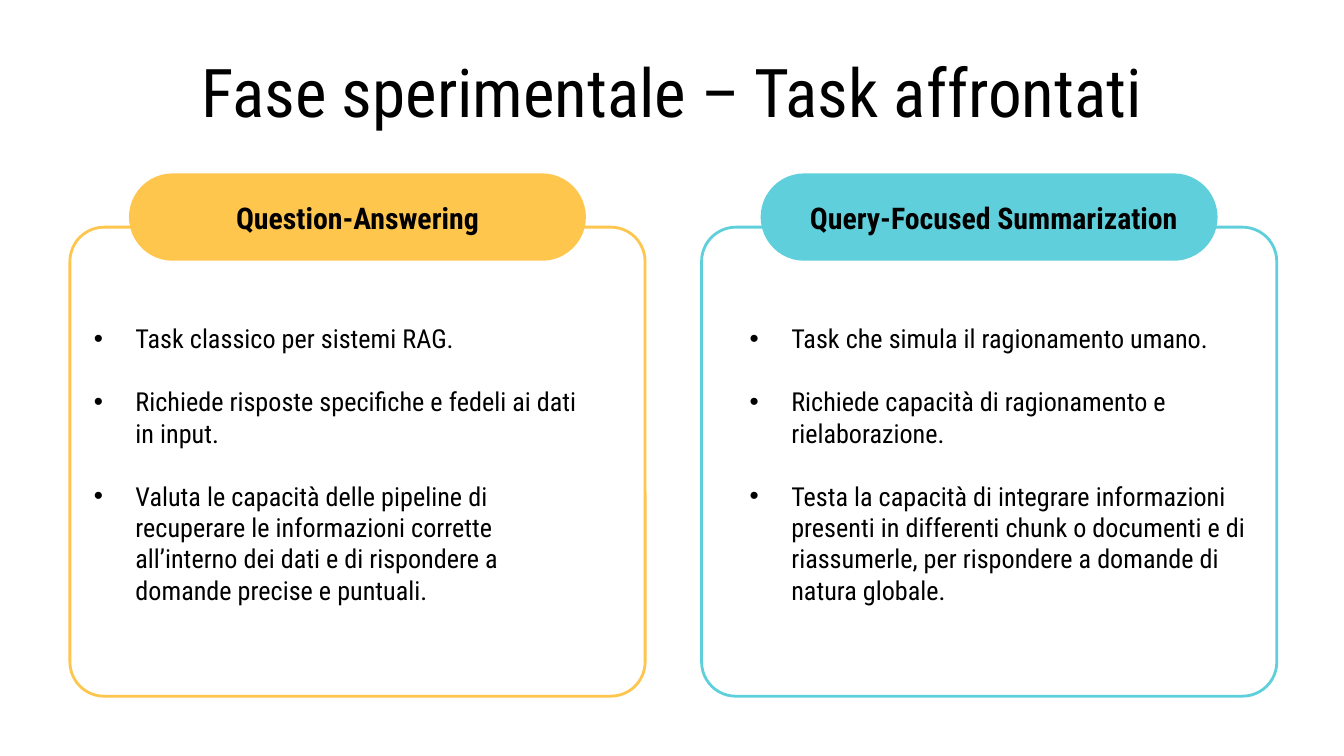
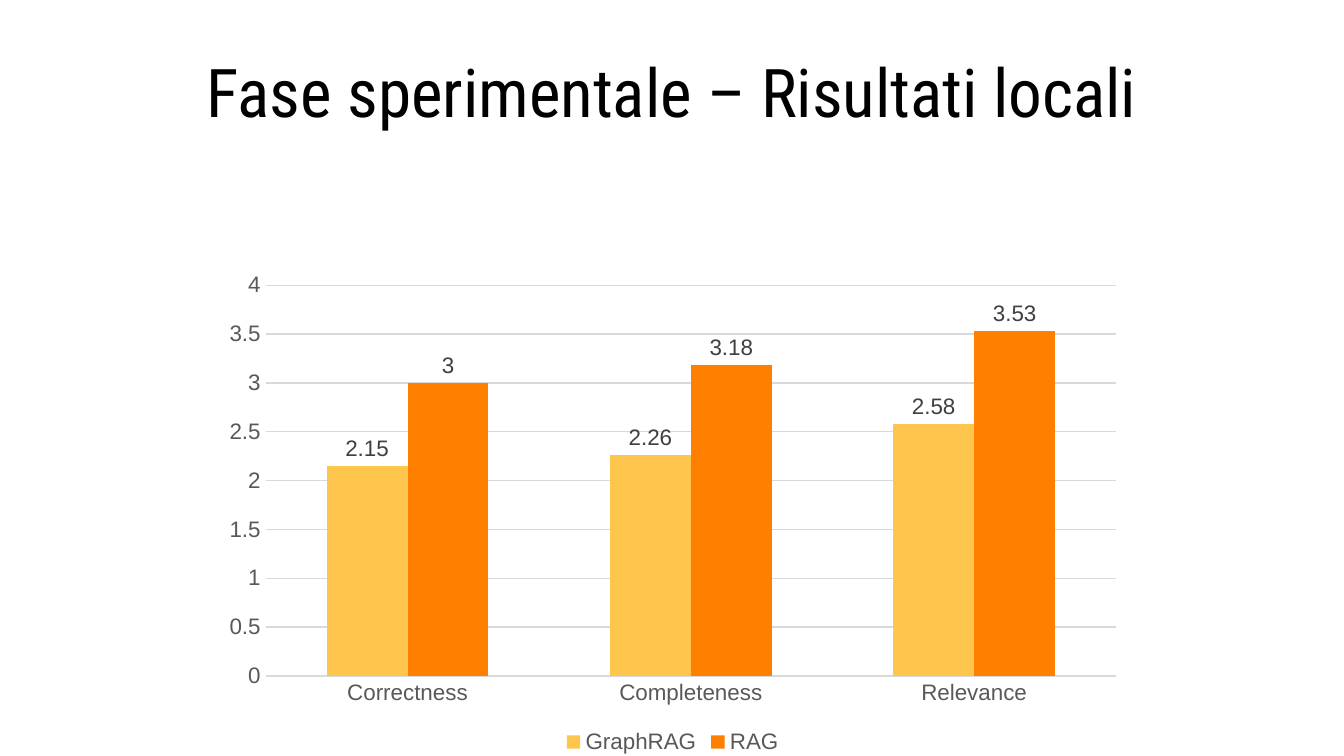
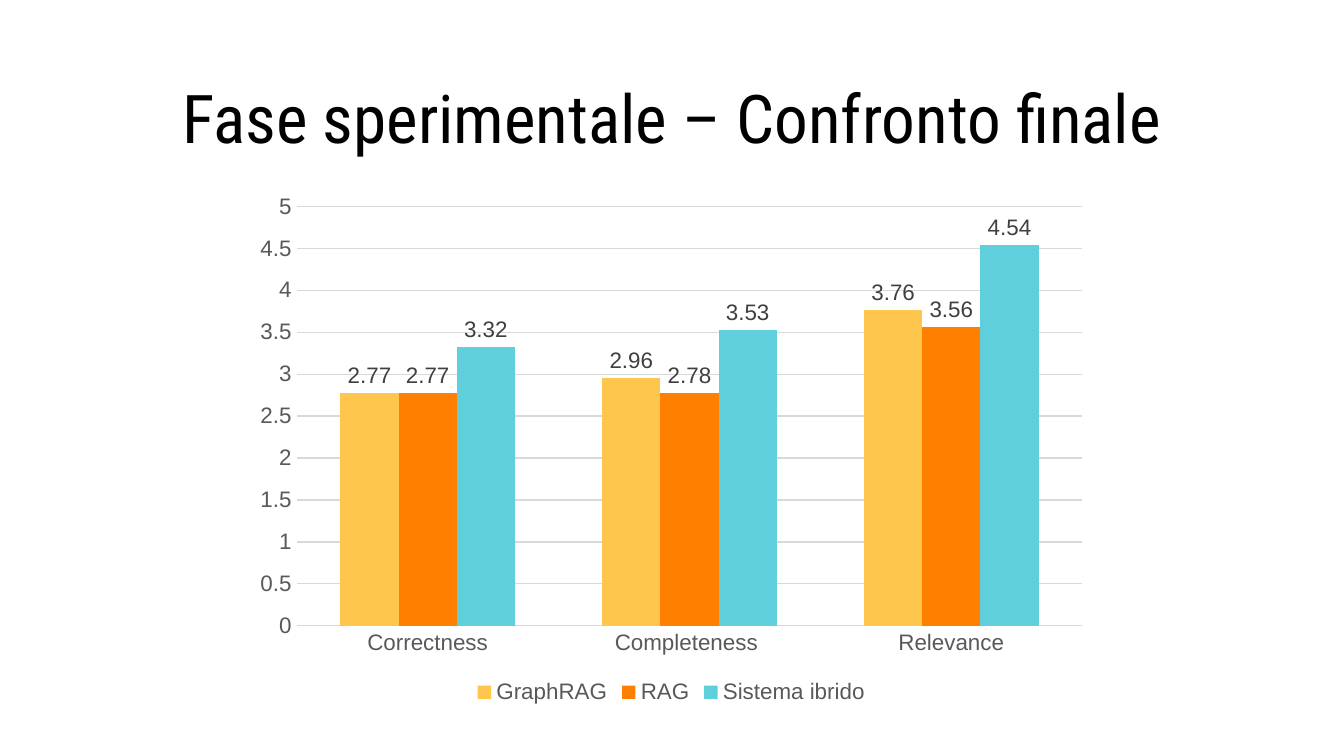
from lxml import etree
from pptx import Presentation, util as u
from pptx.chart.data import CategoryChartData
from pptx.dml.color import RGBColor
from pptx.enum import chart as charts, shapes, text
from pptx.oxml.ns import qn

BLACK = RGBColor(0x00, 0x00, 0x00)
WHITE = RGBColor(0xFF, 0xFF, 0xFF)
YELLOW = RGBColor(0xFF, 0xC6, 0x4E)
ORANGE = RGBColor(0xFF, 0x80, 0x01)
TEAL = RGBColor(0x5F, 0xD0, 0xDB)
AXIS_GREY = RGBColor(0x59, 0x59, 0x59)
LABEL_GREY = RGBColor(0x40, 0x40, 0x40)
GRID_GREY = RGBColor(0xD9, 0xD9, 0xD9)

TITLE_FONT = {"name": "Roboto Condensed", "size": u.Pt(36), "bold": False}
HEADING_FONT = {"name": "Roboto Condensed", "size": u.Pt(16), "bold": True}
BODY_FONT = {"name": "Roboto Condensed", "size": u.Pt(14)}
CHART_FONT = {"name": "Arial", "size": u.Pt(12)}

MARGIN = 0.52
CARD_WIDTH, CARD_HEIGHT, CARD_TOP = 4.28, 3.49, 1.69
CARD_STEP = 4.7
PILL_WIDTH, PILL_HEIGHT, PILL_TOP = 3.4, 0.65, 1.29
BULLET_INDENT = u.Inches(0.31)


def format_font(font, values, color=BLACK):
    for name, value in values.items():
        setattr(font, name, value)
    font.color.rgb = color


def add_titled_slide(title_text, top):
    slide = presentation.slides.add_slide(presentation.slide_layouts[5])
    title = slide.shapes.title
    title.left, title.top = u.Inches(0.5), u.Inches(top)
    title.width, title.height = u.Inches(9), u.Inches(0.53)
    frame = title.text_frame
    frame.text = title_text
    frame.auto_size = text.MSO_AUTO_SIZE.NONE
    frame.vertical_anchor = text.MSO_ANCHOR.MIDDLE
    for side in ("left", "top", "right", "bottom"):
        setattr(frame, f"margin_{side}", u.Inches(0.1))
    paragraph = frame.paragraphs[0]
    paragraph.alignment = text.PP_ALIGN.CENTER
    format_font(paragraph.runs[0].font, TITLE_FONT)
    return slide


presentation = Presentation()
presentation.slide_width = u.Inches(10)
presentation.slide_height = presentation.slide_width * 9 // 16

# Tasks: one card per column, with a pill heading and a bullet list
slide = add_titled_slide("Fase sperimentale – Task affrontati", 0.41)

# heading, colour, heading left and width, list left, bullets
tasks = [
    ("Question-Answering", YELLOW, 1.42, 2.48, 0.6, [
        "Task classico per sistemi RAG.",
        "Richiede risposte specifiche e fedeli ai dati in input.",
        "Valuta le capacità delle pipeline di recuperare le informazioni corrette "
        "all’interno dei dati e di rispondere a domande precise e puntuali.",
    ]),
    ("Query-Focused Summarization", TEAL, 5.76, 3.27, 5.48, [
        "Task che simula il ragionamento umano.",
        "Richiede capacità di ragionamento e rielaborazione.",
        "Testa la capacità di integrare informazioni presenti in differenti chunk o "
        "documenti e di riassumerle, per rispondere a domande di natura globale.",
    ]),
]

for column, (heading, color, heading_left, heading_width, list_left, bullets) in enumerate(tasks):
    card_left = MARGIN + column * CARD_STEP
    pill_left = card_left + (CARD_WIDTH - PILL_WIDTH) / 2
    outlines = [
        (card_left, CARD_TOP, CARD_WIDTH, CARD_HEIGHT, 0.073, WHITE),
        (pill_left, PILL_TOP, PILL_WIDTH, PILL_HEIGHT, 0.5, color),
    ]
    for left, top, width, height, rounding, fill_color in outlines:
        shape = slide.shapes.add_shape(
            shapes.MSO_SHAPE.ROUNDED_RECTANGLE,
            u.Inches(left), u.Inches(top), u.Inches(width), u.Inches(height))
        shape.adjustments[0] = rounding
        shape.shadow.inherit = False
        shape.fill.solid()
        shape.fill.fore_color.rgb = fill_color
        if fill_color == WHITE:
            shape.line.color.rgb = color
            shape.line.width = u.Pt(1.5)
        else:
            shape.line.fill.background()

    heading_box = slide.shapes.add_textbox(
        u.Inches(heading_left), u.Inches(1.44), u.Inches(heading_width), u.Inches(0.36))
    frame = heading_box.text_frame
    frame.word_wrap = True
    frame.vertical_anchor = text.MSO_ANCHOR.MIDDLE
    frame.margin_left = frame.margin_right = u.Inches(0.2)
    frame.margin_top = frame.margin_bottom = 0
    frame.text = heading
    frame.paragraphs[0].alignment = text.PP_ALIGN.CENTER
    format_font(frame.paragraphs[0].runs[0].font, HEADING_FONT)

    bullet_box = slide.shapes.add_textbox(
        u.Inches(list_left), u.Inches(2.35), u.Inches(3.93), u.Inches(2.22))
    frame = bullet_box.text_frame
    frame.word_wrap = True
    frame.text = "\n".join(bullets)
    for row, paragraph in enumerate(frame.paragraphs):
        paragraph.space_before = u.Pt(17 if row else 0)
        format_font(paragraph.runs[0].font, BODY_FONT)
        properties = paragraph._p.get_or_add_pPr()
        properties.set("marL", str(BULLET_INDENT))
        properties.set("indent", str(-BULLET_INDENT))
        etree.SubElement(properties, qn("a:buFont"), typeface="Arial")
        etree.SubElement(properties, qn("a:buChar"), char="•")

# Results: one clustered column chart per slide
series_colors = {"GraphRAG": YELLOW, "RAG": ORANGE, "Sistema ibrido": TEAL}

# title, title top, chart box, axis maximum, categories, scores
results = [
    ("Fase sperimentale – Risultati locali", 0.41, (1.57, 1.96, 6.87, 3.69), 4,
     ["Correctness", "Completeness", "Relevance"], {
         "GraphRAG": (2.15, 2.26, 2.58),
         "RAG": (3, 3.18, 3.53),
     }),
    ("Fase sperimentale – Confronto finale", 0.6, (1.81, 1.37, 6.37, 3.91), 5,
     ["Correctness", "Completeness ", "Relevance"], {
         "GraphRAG": (2.77, 2.96, 3.76),
         "RAG": (2.77, 2.78, 3.56),
         "Sistema ibrido": (3.32, 3.53, 4.54),
     }),
]

for title_text, title_top, chart_box, axis_maximum, categories, scores in results:
    slide = add_titled_slide(title_text, title_top)
    chart_data = CategoryChartData()
    chart_data.categories = categories
    for name, values in scores.items():
        chart_data.add_series(name, values)
    chart = slide.shapes.add_chart(
        charts.XL_CHART_TYPE.COLUMN_CLUSTERED,
        *(u.Inches(length) for length in chart_box), chart_data).chart
    format_font(chart.font, {"name": "Arial", "size": u.Pt(10)})
    chart.has_title = False
    chart.has_legend = True
    chart.legend.position = charts.XL_LEGEND_POSITION.BOTTOM
    chart.legend.include_in_layout = False
    format_font(chart.legend.font, CHART_FONT, AXIS_GREY)

    for axis in (chart.category_axis, chart.value_axis):
        axis.major_tick_mark = axis.minor_tick_mark = charts.XL_TICK_MARK.NONE
        axis.format.line.fill.background()
        format_font(axis.tick_labels.font, CHART_FONT, AXIS_GREY)
    value_axis = chart.value_axis
    value_axis.minimum_scale, value_axis.maximum_scale = 0, axis_maximum
    value_axis.major_unit = 0.5
    value_axis.major_gridlines.format.line.color.rgb = GRID_GREY
    value_axis.major_gridlines.format.line.width = u.Pt(0.75)

    plot = chart.plots[0]
    plot.vary_by_categories = False
    plot.gap_width, plot.overlap = 150, 0
    for series in plot.series:
        series.format.fill.solid()
        series.format.fill.fore_color.rgb = series_colors[series.name]
        labels = series.data_labels
        labels.show_value = True
        labels.position = charts.XL_LABEL_POSITION.OUTSIDE_END
        format_font(labels.font, CHART_FONT, LABEL_GREY)

presentation.save("out.pptx")
